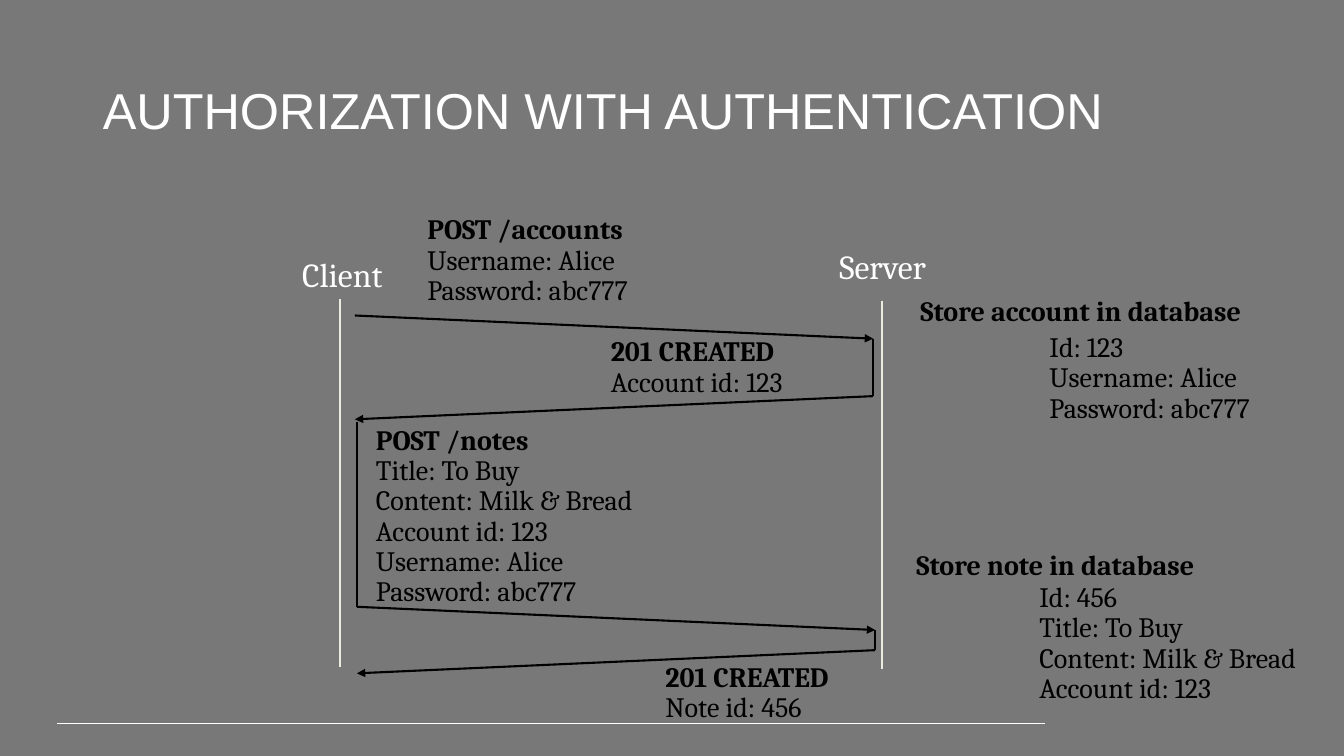
from dataclasses import dataclass

from lxml.etree import SubElement
from pptx import Presentation
from pptx.dml.color import RGBColor
from pptx.enum.shapes import MSO_CONNECTOR as Conn
from pptx.enum.text import MSO_ANCHOR as Anchor, MSO_AUTO_SIZE as Fit, PP_ALIGN as Align
from pptx.oxml.ns import qn
from pptx.util import Emu, Pt


@dataclass(frozen=True)
class Theme:
    bg: str = "787878"
    light: str = "FFFFFF"
    lifeline: str = "EBEBDF"
    dark: str = "000000"
    heading: str = "Arial"
    body: str = "Cambria"
    title_size: int = 36
    actor_size: int = 24
    message_size: int = 20
    rule_width: float = 0.75
    line_width: float = 1.5


def px(n):
    return Emu(n * 9144)


def rgb(value):
    return RGBColor.from_string(value)


class Sequence:
    def __init__(self, s, theme):
        self.s, self.theme = s, theme
        s.background.fill.solid()
        s.background.fill.fore_color.rgb = rgb(theme.bg)

    def place(self, sp, left, top, width, height):
        sp.left, sp.top = px(left), px(top)
        sp.width, sp.height = px(width), px(height)

    def add_text(self, sp, lines, size, color, name, align=Align.LEFT, bold_first=False):
        tf = sp.text_frame
        tf.word_wrap = True
        p = tf.paragraphs[0]
        p.alignment, p.line_spacing, p.space_before = align, 0.9, Pt(0)
        for i, line in enumerate(lines):
            if i:
                p.add_line_break()
            r = p.add_run()
            r.text = line
            r.font.size, r.font.name = Pt(size), name
            r.font.color.rgb = rgb(color)
            r.font.bold = bold_first and i == 0
        for br in p._p.findall(qn("a:br")):
            SubElement(br, qn("a:rPr")).set("sz", str(size * 100))
        return tf

    def title(self, text, *box):
        t = self.theme
        sp = self.s.shapes.title
        self.place(sp, *box)
        tf = self.add_text(sp, [text], t.title_size, t.light, t.heading)
        tf.vertical_anchor, tf.auto_size = Anchor.MIDDLE, Fit.NONE

    def actor(self, sp, text, left, top):
        t = self.theme
        self.place(sp, left, top, 175, 46)
        tf = self.add_text(sp, [text], t.actor_size, t.light, t.body, Align.CENTER)
        tf.vertical_anchor, tf.auto_size = Anchor.TOP, Fit.SHAPE_TO_FIT_TEXT
        pPr = tf.paragraphs[0]._p.get_or_add_pPr()
        pPr.set("marL", "0")
        pPr.set("indent", "0")
        SubElement(pPr, qn("a:buNone"))

    def textbox(self):
        return self.s.shapes.add_textbox(0, 0, 0, 0)

    def message(self, left, top, width, *lines, bold=True):
        t = self.theme
        sp = self.textbox()
        self.place(sp, left, top, width, 10 + 30 * len(lines))
        tf = self.add_text(sp, lines, t.message_size, t.dark, t.body, bold_first=bold)
        tf.auto_size = Fit.SHAPE_TO_FIT_TEXT

    def line(self, x1, y1, x2, y2, color, width, arrow=False):
        c = self.s.shapes.add_connector(Conn.STRAIGHT, px(x1), px(y1), px(x2), px(y2))
        c.line.color.rgb, c.line.width = rgb(color), Pt(width)
        spPr = c._element.spPr
        if arrow:
            SubElement(spPr.find(qn("a:ln")), qn("a:tailEnd")).set("type", "triangle")
        SubElement(spPr, qn("a:effectLst"))

    def lifeline(self, x, top):
        self.line(x, top, x, top + 365, self.theme.lifeline, self.theme.line_width)

    def step(self, x1, y1, x2, y2, arrow=False):
        self.line(x1, y1, x2, y2, self.theme.dark, self.theme.line_width, arrow)

    def exchange(self, client, top, work, span=514, drop=23):
        server = client + span
        received = top + drop
        replied = received + work
        self.step(client, top, server, received, arrow=True)
        self.step(server, received, server, replied)
        self.step(server, replied, client, replied + drop, arrow=True)


def main():
    prs = Presentation()
    prs.slide_width, prs.slide_height = px(1333), px(750)
    s = prs.slides.add_slide(prs.slide_layouts[1])
    theme = Theme()
    seq = Sequence(s, theme)

    seq.line(57, 718, 1036, 718, theme.light, theme.rule_width)
    seq.title("AUTHORIZATION WITH AUTHENTICATION", 92, 40, 1197, 145)
    seq.actor(s.placeholders[1], "Client", 252, 251)
    seq.actor(seq.textbox(), "Server", 788, 244)
    seq.lifeline(337, 297)
    seq.lifeline(875, 299)

    seq.exchange(352, 313, work=57)
    seq.step(354, 419, 354, 602)
    seq.exchange(354, 602, work=20)

    login = ("Username: Alice", "Password: abc777")
    note = ("Title: To Buy", "Content: Milk & Bread", "Account id: 123")
    seq.message(414, 209, 302, "POST /accounts", *login)
    seq.message(903, 290, 401, "Store account in database")
    seq.message(596, 330, 367, "201 CREATED", "Account id: 123")
    seq.message(1031, 326, 302, "Id: 123", *login, bold=False)
    seq.message(363, 418, 302, "POST /notes", *note, *login)
    seq.message(899, 542, 358, "Store note in database")
    seq.message(650, 653, 251, "201 CREATED", "Note id: 456")
    seq.message(1021, 574, 302, "Id: 456", *note, bold=False)

    prs.save("out.pptx")


if __name__ == "__main__":
    main()
